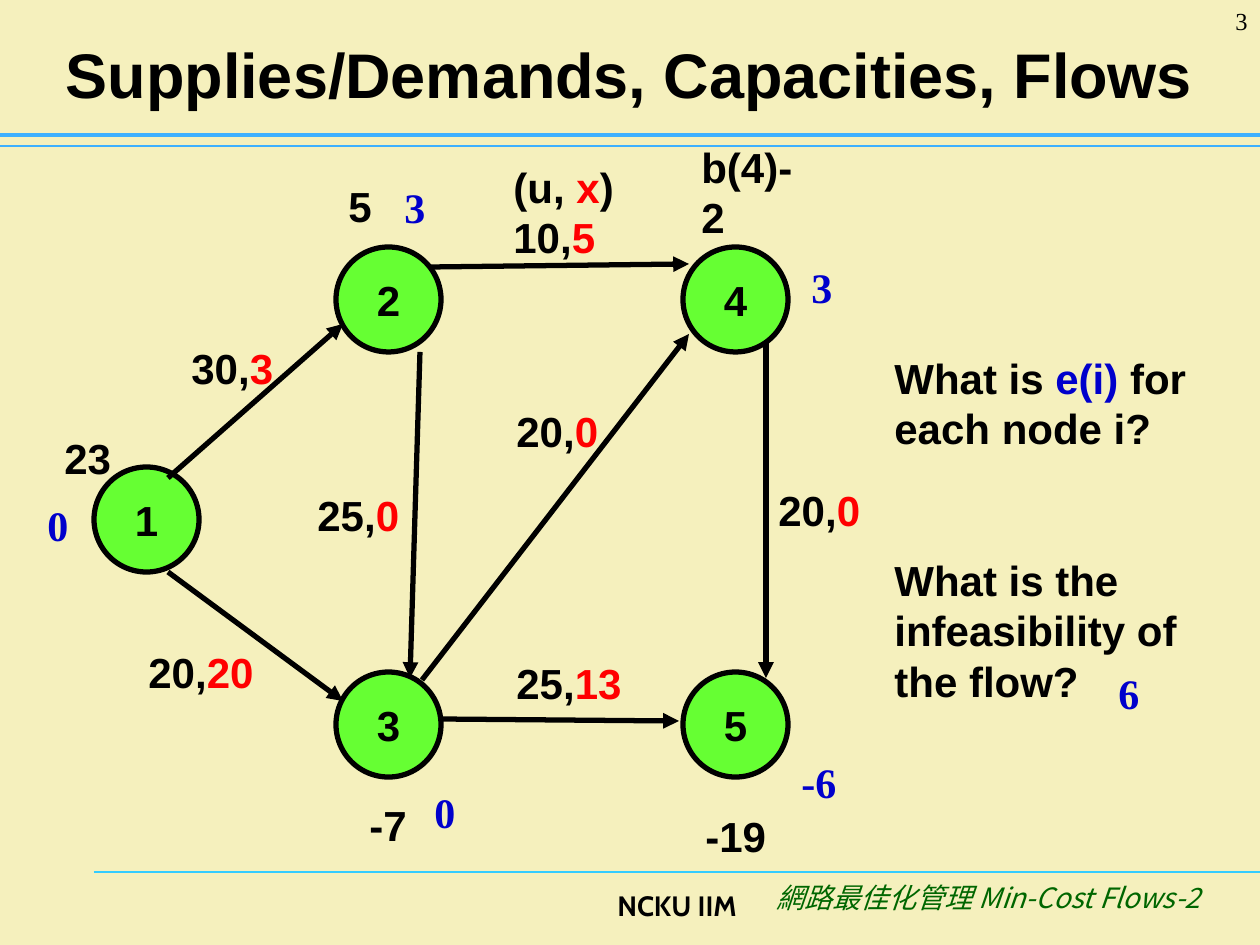
from typing import NamedTuple

from lxml import etree
from pptx import Presentation
from pptx.dml.color import RGBColor
from pptx.enum.shapes import MSO_CONNECTOR, MSO_SHAPE
from pptx.enum.text import MSO_ANCHOR, MSO_AUTO_SIZE, PP_ALIGN
from pptx.oxml.ns import qn
from pptx.util import Emu, Pt

LEFT, CENTER, RIGHT = PP_ALIGN.LEFT, PP_ALIGN.CENTER, PP_ALIGN.RIGHT
MIDDLE = MSO_ANCHOR.MIDDLE
STRAIGHT, OVAL = MSO_CONNECTOR.STRAIGHT, MSO_SHAPE.OVAL
NO_AUTOFIT = MSO_AUTO_SIZE.NONE

EMU_PER_PX = 914400 / 126
NODE_SIZE = 105
LABEL_HEIGHT = 63
LINE_HEIGHT = Pt(28.8)
QUESTION_GAP = Pt(58)
SANS, SERIF, CJK, FOOTER = "Arial", "Times New Roman", "Noto Sans CJK SC", "Cabin"
COLORS = {
    "paper": "F5F0BD", "ink": "000000", "node": "66FF33", "flow": "FF0000",
    "excess": "0000CC", "rule": "3DB0FF", "footer_rule": "33CCFF", "course": "006600",
}


class Span(NamedTuple):
    text: str
    color: str = "ink"


class Node(NamedTuple):
    name: str
    left: int
    top: int


class Line(NamedTuple):
    x1: int
    y1: int
    x2: int
    y2: int
    color: str = "ink"
    width: float = 3
    arrow: bool = True


class ArcLabel(NamedTuple):
    left: int
    top: int
    capacity: str
    flow: str


class Label(NamedTuple):
    left: int
    top: int
    width: int
    text: str


RULES = [
    Line(94, 872, 1260, 872, "footer_rule", 0.75, False),
    Line(0, 146, 1260, 146, "rule", 0.75, False),
    Line(0, 135, 1260, 135, "rule", 2.5, False),
]
NODES = [Node("1", 94, 467), Node("2", 336, 247), Node("3", 336, 672),
         Node("5", 683, 672), Node("4", 683, 247)]
ARCS = [
    Line(168, 478, 343, 324), Line(431, 267, 689, 264), Line(766, 341, 766, 678),
    Line(422, 680, 689, 334), Line(168, 572, 343, 701), Line(441, 719, 679, 721),
    Line(420, 352, 410, 678),
]
ARC_LABELS = [
    ArcLabel(766, 478, "20", "0"), ArcLabel(504, 399, "20", "0"),
    ArcLabel(504, 651, "25", "13"), ArcLabel(305, 483, "25", "0"),
    ArcLabel(136, 640, "20", "20"), ArcLabel(179, 336, "30", "3"),
]
SUPPLIES = [Label(52, 426, 94, "23"), Label(336, 174, 94, "5"), Label(689, 135, 116, "b(4)-2"),
            Label(357, 793, 94, "-7"), Label(693, 804, 94, "-19")]
EXCESSES = [Label(35, 493, 45, "0"), Label(392, 175, 45, "3"), Label(799, 255, 45, "3"),
            Label(789, 750, 60, "-6"), Label(422, 780, 45, "0"), Label(1106, 661, 45, "6")]


def px(length: int) -> Emu:
    return Emu(round(length * EMU_PER_PX))


def rgb(name: str) -> RGBColor:
    return RGBColor.from_string(COLORS[name])


def style(font, size: float, face: str = SANS, color: str = "ink", bold: bool = True) -> None:
    font.size, font.name, font.bold = Pt(size), face, bold
    font.color.rgb = rgb(color)


def add_text(page, left: int, top: int, width: int, height: int, text: str = "",
             size: float = 24, face: str = SANS, color: str = "ink", bold: bool = True,
             align=LEFT, wrap: bool = True):
    box = page.shapes.add_textbox(px(left), px(top), px(width), px(height))
    box.text_frame.word_wrap = wrap
    para = box.text_frame.paragraphs[0]
    para.alignment = align
    if size == 24:
        para.line_spacing = LINE_HEIGHT
    if text:
        para.text = text
        style(para.runs[0].font, size, face, color, bold)
    return box


def add_spans(para, spans: list[Span]) -> None:
    para.line_spacing = LINE_HEIGHT
    for span in spans:
        run = para.add_run()
        run.text = span.text
        style(run.font, 24, color=span.color)


def add_line(page, line: Line) -> None:
    connector = page.shapes.add_connector(
        STRAIGHT, px(line.x1), px(line.y1), px(line.x2), px(line.y2))
    connector.line.color.rgb = rgb(line.color)
    connector.line.width = Pt(line.width)
    if line.arrow:
        etree.SubElement(connector.line._get_or_add_ln(), qn("a:tailEnd"), type="triangle")
    etree.SubElement(connector._element.spPr, qn("a:effectLst"))


def add_node(page, node: Node) -> None:
    circle = page.shapes.add_shape(
        OVAL, px(node.left), px(node.top), px(NODE_SIZE), px(NODE_SIZE))
    circle.shadow.inherit = False
    circle.fill.solid()
    circle.fill.fore_color.rgb = rgb("node")
    circle.line.color.rgb = rgb("ink")
    circle.line.width = Pt(3)
    frame = circle.text_frame
    frame.word_wrap = False
    frame.vertical_anchor = MIDDLE
    frame.text = node.name
    frame.paragraphs[0].alignment = CENTER
    style(frame.paragraphs[0].runs[0].font, 24)


def set_title(page, text: str) -> None:
    title = page.shapes.title
    title.left, title.top, title.width, title.height = px(52), px(42), px(1155), px(63)
    frame = title.text_frame
    frame.text = text
    frame.auto_size = NO_AUTOFIT
    frame.word_wrap = False
    frame.vertical_anchor = MIDDLE
    frame.paragraphs[0].alignment = CENTER
    style(frame.paragraphs[0].runs[0].font, 36)


def add_footer(page) -> None:
    add_text(page, 549, 882, 200, 63, "NCKU IIM", 16, FOOTER, align=RIGHT)
    box = add_text(page, 749, 874, 464, 63, "網路最佳化管理 Min-Cost Flows-2", 16, CJK,
                   "course", False, RIGHT)
    font = box.text_frame.paragraphs[0].runs[0].font
    font.italic = True
    etree.SubElement(font._element, qn("a:ea"), typeface=CJK)


def add_questions(page) -> None:
    frame = add_text(page, 882, 346, 344, 368).text_frame
    add_spans(frame.paragraphs[0],
              [Span("What is "), Span("e(i)", "excess"), Span(" for each node i?")])
    infeasibility = frame.add_paragraph()
    infeasibility.space_before = QUESTION_GAP
    add_spans(infeasibility, [Span("What is the infeasibility of the flow?")])


def main() -> None:
    deck = Presentation()
    deck.slide_width, deck.slide_height = px(1260), px(945)
    page = deck.slides.add_slide(deck.slide_layouts[5])
    page.background.fill.solid()
    page.background.fill.fore_color.rgb = rgb("paper")

    for rule in RULES:
        add_line(page, rule)
    add_footer(page)
    set_title(page, "Supplies/Demands, Capacities, Flows")
    for node in NODES:
        add_node(page, node)
    for arc in ARCS:
        add_line(page, arc)

    legend = add_text(page, 501, 155, 147, 113).text_frame.paragraphs[0]
    add_spans(legend, [Span("(u, "), Span("x", "flow"), Span(")")])
    legend.add_line_break()
    add_spans(legend, [Span("10,"), Span("5", "flow")])
    for label in ARC_LABELS:
        box = add_text(page, label.left, label.top, 147, LABEL_HEIGHT)
        add_spans(box.text_frame.paragraphs[0],
                  [Span(label.capacity + ","), Span(label.flow, "flow")])
    for supply in SUPPLIES:
        add_text(page, supply.left, supply.top, supply.width, LABEL_HEIGHT, supply.text)
    add_questions(page)
    for excess in EXCESSES:
        add_text(page, excess.left, excess.top, excess.width, LABEL_HEIGHT, excess.text,
                 face=SERIF, color="excess", wrap=False)
    add_text(page, 1155, 0, 105, 63, "3", 14, SERIF, bold=False, align=RIGHT)
    deck.save("out.pptx")


if __name__ == "__main__":
    main()
